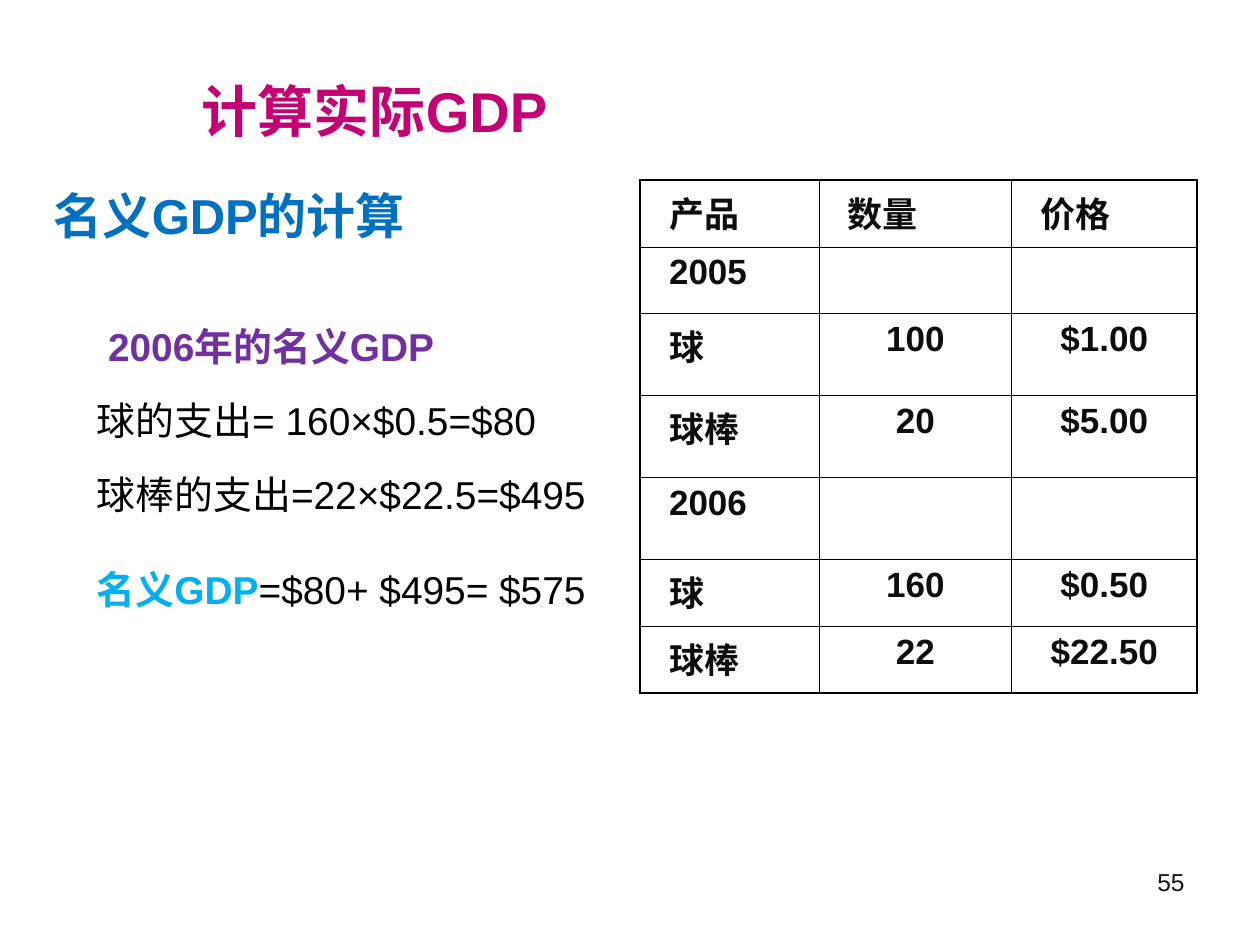
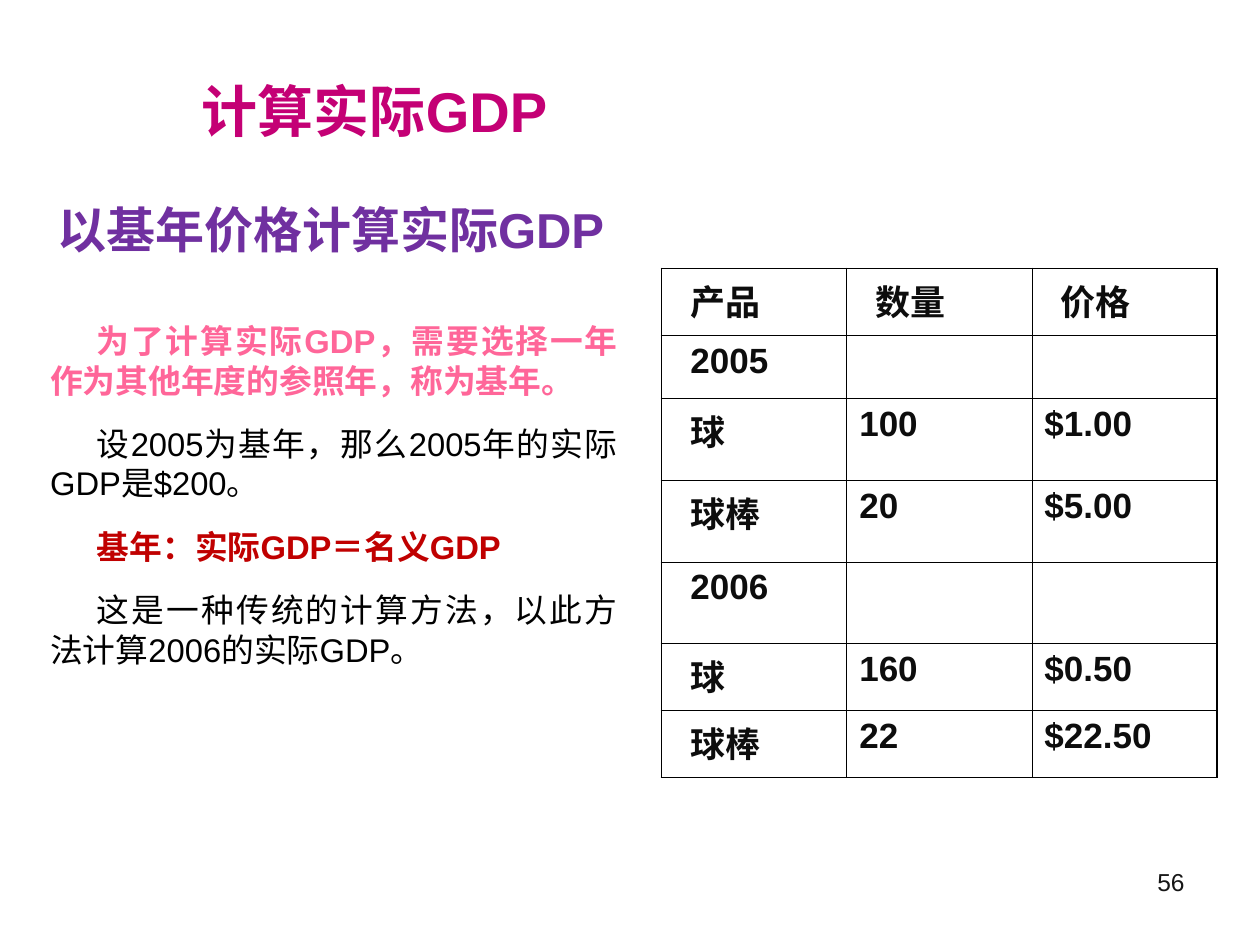
from lxml.etree import SubElement
from pptx import Presentation
from pptx.dml.color import RGBColor
from pptx.enum.text import MSO_ANCHOR, MSO_AUTO_SIZE, PP_ALIGN
from pptx.oxml.ns import qn
from pptx.util import Inches, Pt

FONT = "Arial"
MAGENTA = RGBColor(0xC4, 0x00, 0x75)
BLUE = RGBColor(0x00, 0x70, 0xC0)
SKY = RGBColor(0x00, 0xB0, 0xF0)
PURPLE = RGBColor(0x70, 0x30, 0xA0)
PINK = RGBColor(0xFF, 0x66, 0x99)
RED = RGBColor(0xC0, 0x00, 0x00)
BLACK = RGBColor(0x00, 0x00, 0x00)
TABLE_INK = RGBColor(0x0D, 0x0D, 0x0D)
NUMBER_INK = RGBColor(0x16, 0x16, 0x16)

OUTER_LINE, INNER_LINE = Pt(1.08), Pt(0.45)
CELL_INDENT = 0.13
BODY_INDENT, FIRST_LINE = 0.13, 0.37

PRODUCT_ROWS = [
    ("产品", "数量", "价格"),
    ("2005", "", ""),
    ("球", "100", "$1.00"),
    ("球棒", "20", "$5.00"),
    ("2006", "", ""),
    ("球", "160", "$0.50"),
    ("球棒", "22", "$22.50"),
]


def add_span(para, text, *, size, color, bold=False):
    span = para.add_run()
    span.text = text
    span.font.name = FONT
    span.font.size = Pt(size)
    span.font.bold = bold
    span.font.color.rgb = color


def format_para(para, *, align=PP_ALIGN.LEFT, left=0, first=0, before=0, after=0, line=1.0):
    para.alignment = align
    para.space_before, para.space_after = Pt(before), Pt(after)
    para.line_spacing = line
    properties = para._p.get_or_add_pPr()
    properties.set("marL", str(Inches(left)))
    properties.set("indent", str(Inches(first)))


def add_box(page, left, top, width, height, anchor=MSO_ANCHOR.TOP):
    box = page.shapes.add_textbox(Inches(left), Inches(top), Inches(width), Inches(height))
    box.text_frame.word_wrap = True
    box.text_frame.vertical_anchor = anchor
    return box.text_frame


def add_page(deck, number):
    """Add a page with the shared title and its page number."""
    page = deck.slides.add_slide(deck.slide_layouts[5])
    title = page.shapes.title
    title.left, title.top = Inches(1.5), Inches(0.25)
    title.width, title.height = Inches(8.5), Inches(1.25)
    frame = title.text_frame
    frame.auto_size = MSO_AUTO_SIZE.NONE
    frame.vertical_anchor = MSO_ANCHOR.MIDDLE
    format_para(frame.paragraphs[0])
    add_span(frame.paragraphs[0], "计算实际GDP", size=32, color=MAGENTA, bold=True)

    para = add_box(page, 7.17, 6.83, 2.33, 0.52).paragraphs[0]
    format_para(para, align=PP_ALIGN.RIGHT)
    add_span(para, str(number), size=14, color=NUMBER_INK)
    return page


def add_heading(page, text, color, left, top):
    para = add_box(page, left, top, 9, 1.25, MSO_ANCHOR.MIDDLE).paragraphs[0]
    add_span(para, text, size=28, color=color, bold=True)


def add_body(page, place, size, paragraphs, **layout):
    """Write paragraphs, each a list of (text, color, bold) and its own layout."""
    frame = add_box(page, *place)
    for index, (spans, own_layout) in enumerate(paragraphs):
        para = frame.paragraphs[0] if index == 0 else frame.add_paragraph()
        shared = {"left": BODY_INDENT, "first": FIRST_LINE, **layout}
        format_para(para, **{**shared, **own_layout})
        for text, color, bold in spans:
            add_span(para, text, size=size, color=color, bold=bold)


def set_borders(cell, widths):
    properties = cell._tc.get_or_add_tcPr()
    for position, (side, width) in enumerate(zip(("lnL", "lnR", "lnT", "lnB"), widths)):
        line = SubElement(properties, qn(f"a:{side}"), w=str(width))
        fill = SubElement(line, qn("a:solidFill"))
        SubElement(fill, qn("a:srgbClr"), val=str(BLACK))
        properties.remove(line)
        properties.insert(position, line)


def add_product_table(page, left, top, widths, heights, number_align):
    row_count, column_count = len(heights), len(widths)
    table = page.shapes.add_table(
        row_count, column_count, Inches(left), Inches(top),
        Inches(sum(widths)), Inches(sum(heights))).table
    table.first_row = table.horz_banding = False
    for column, width in zip(table.columns, widths):
        column.width = Inches(width)
    for row, height in zip(table.rows, heights):
        row.height = Inches(height)
    for r, texts in enumerate(PRODUCT_ROWS):
        for c, text in enumerate(texts):
            cell = table.cell(r, c)
            cell.fill.background()
            edges = (c == 0, c == column_count - 1, r == 0, r == row_count - 1)
            set_borders(cell, [OUTER_LINE if edge else INNER_LINE for edge in edges])
            if not text:
                continue
            para = cell.text_frame.paragraphs[0]
            if r == 0 or c == 0:
                format_para(para, left=CELL_INDENT)
            else:
                format_para(para, align=number_align)
            add_span(para, text, size=20, color=TABLE_INK, bold=True)


def build_nominal_page(deck):
    page = add_page(deck, 55)
    add_heading(page, "名义GDP的计算", BLUE, 0.33, 1.08)
    add_body(page, (0.17, 2.58, 4.67, 2.92), 22.2, [
        ([("2006年的名义GDP", PURPLE, True)], {"first": 0.46, "before": 0}),
        ([("球的支出= 160×$0.5=$80", BLACK, False)], {}),
        ([("球棒的支出=22×$22.5=$495", BLACK, False)], {}),
        ([("名义GDP", SKY, True), ("=$80+ $495= $575", BLACK, False)], {"before": 18}),
    ], before=6, after=15, line=0.8)
    add_product_table(page, 5.08, 1.43, (1.42, 1.53, 1.47),
                      (0.53, 0.53, 0.65, 0.65, 0.65, 0.53, 0.53), PP_ALIGN.CENTER)


def build_base_year_page(deck):
    page = add_page(deck, 56)
    add_heading(page, "以基年价格计算实际GDP", PURPLE, 0.36, 1.19)
    add_body(page, (0.17, 2.5, 4.83, 3.25), 18.7, [
        ([("为了计算实际GDP，需要选择一年作为其他年度的参照年，称为基年。", PINK, True)], {}),
        ([("设2005为基年，那么2005年的实际GDP是$200。", BLACK, False)], {}),
        ([("基年：实际GDP＝名义GDP", RED, True)], {}),
        ([("这是一种传统的计算方法，以此方法计算2006的实际GDP。", BLACK, False)], {}),
    ], align=PP_ALIGN.JUSTIFY, after=13.8)
    add_product_table(page, 5.25, 2.13, (1.47, 1.47, 1.47),
                      (0.53, 0.5, 0.65, 0.65, 0.65, 0.53, 0.53), PP_ALIGN.LEFT)


def main():
    deck = Presentation()
    deck.slide_width, deck.slide_height = Inches(10), Inches(7.5)
    build_nominal_page(deck)
    build_base_year_page(deck)
    deck.save("out.pptx")


if __name__ == "__main__":
    main()
